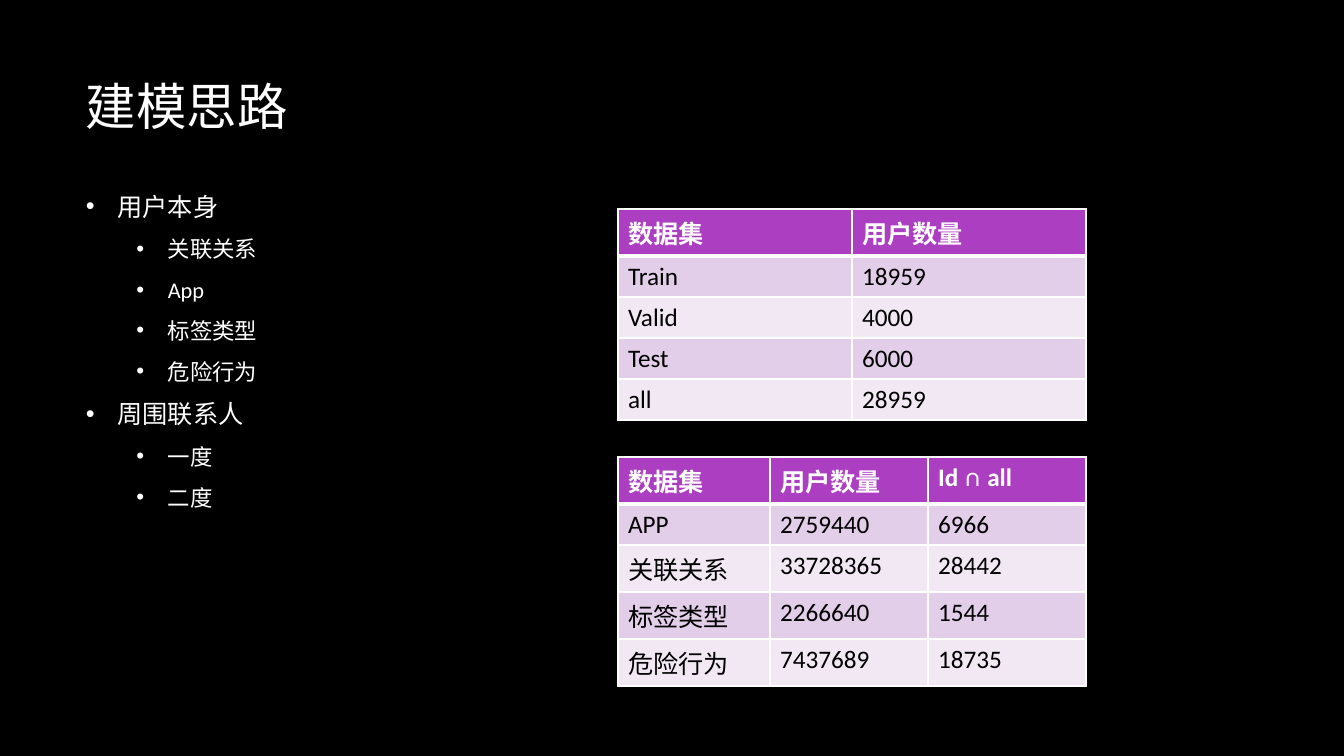
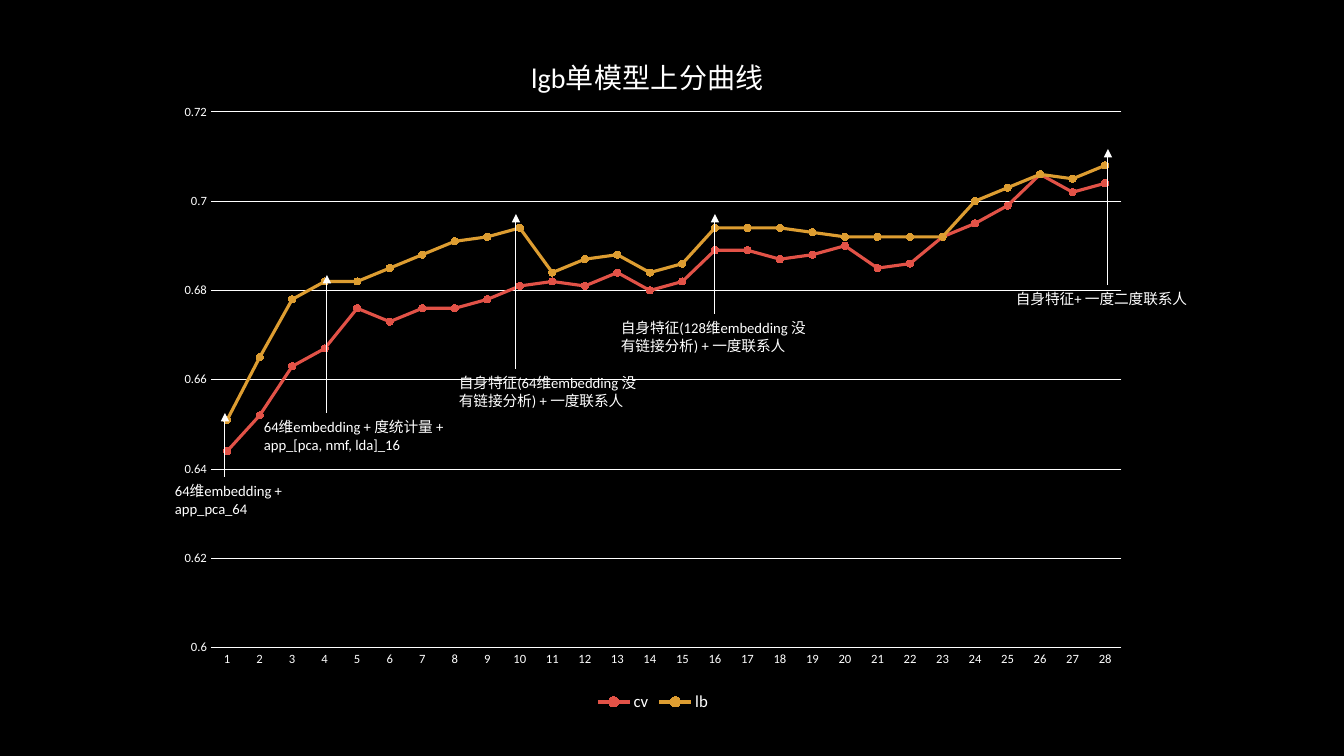
"""Build two dark slides: modelling ideas with tables, and a score curve."""
from lxml.etree import SubElement
from pptx import Presentation
from pptx.chart.data import CategoryChartData as ChartData
from pptx.dml.color import RGBColor
from pptx.enum.chart import XL_CHART_TYPE as Kind, XL_LEGEND_POSITION as Side
from pptx.enum.chart import XL_MARKER_STYLE as Mark, XL_TICK_MARK as Tick
from pptx.enum.shapes import MSO_CONNECTOR as Link
from pptx.enum.text import MSO_ANCHOR as Anchor
from pptx.oxml import parse_xml
from pptx.oxml.ns import nsdecls, qn
from pptx.util import Pt

SCALE = 914400 / 100.8
FONT = "Calibri"
WHITE, BLACK = "FFFFFF", "000000"
HEAD, BANDS = "AC3EC1", ("E3CEE9", "F1E8F4")

IDEAS = [
    (0, "用户本身"), (1, "关联关系"), (1, "App"), (1, "标签类型"),
    (1, "危险行为"), (0, "周围联系人"), (1, "一度"), (1, "二度"),
]
SETS = [
    ("数据集", "用户数量"), ("Train", "18959"), ("Valid", "4000"),
    ("Test", "6000"), ("all", "28959"),
]
SHARED = [
    ("数据集", "用户数量", "Id ∩ all"), ("APP", "2759440", "6966"),
    ("关联关系", "33728365", "28442"), ("标签类型", "2266640", "1544"),
    ("危险行为", "7437689", "18735"),
]
SCORES = {
    "cv": ("E25247", [
        .644, .652, .663, .667, .676, .673, .676, .676, .678, .681,
        .682, .681, .684, .68, .682, .689, .689, .687, .688, .69,
        .685, .686, .692, .695, .699, .706, .702, .704]),
    "lb": ("DD9D31", [
        .651, .665, .678, .682, .682, .685, .688, .691, .692, .694,
        .684, .687, .688, .684, .686, .694, .694, .694, .693, .692,
        .692, .692, .692, .7, .703, .706, .705, .708]),
}
NOTES = [
    ((165, 477, 146, 47), (225, 413), ["64维embedding + app_pca_64"]),
    ((254, 413, 206, 45), (327, 275),
     ["64维embedding + 度统计量 +", "app_[pca, nmf, lda]_16"]),
    ((449, 369, 205, 45), (516, 214),
     ["自身特征(64维embedding 没有链接分析) + 一度联系人"]),
    ((611, 314, 205, 45), (715, 214),
     ["自身特征(128维embedding 没有链接分析) + 一度联系人"]),
    ((1006, 285, 205, 28), (1108, 149), ["自身特征+ 一度二度联系人"]),
]


def px(*sizes):
    """Turn pixels into EMU."""
    return [round(size * SCALE) for size in sizes]


def color(code):
    """Turn a hex string into a colour."""
    return RGBColor.from_string(code)


def style(font, size, code=WHITE, bold=False):
    """Set the look of a font."""
    font.name, font.size, font.bold = FONT, Pt(size), bold
    font.color.rgb = color(code)


def write(para, text, size, code=WHITE, bold=False):
    """Add one styled run to a paragraph."""
    run = para.add_run()
    run.text = text
    style(run.font, size, code, bold)


def stroke(line, code, width):
    """Set the colour and width of a line."""
    line.color.rgb = color(code)
    line.width = Pt(width)


def add_slide(deck):
    """Add a blank slide with a black ground."""
    slide = deck.slides.add_slide(deck.slide_layouts[6])
    fill = slide.background.fill
    fill.solid()
    fill.fore_color.rgb = color(BLACK)
    return slide


def add_text(slide, box, lines, size, anchor=Anchor.TOP):
    """Add a wrapping text box and return its paragraphs."""
    frame = slide.shapes.add_textbox(*px(*box)).text_frame
    frame.word_wrap = True
    frame.vertical_anchor = anchor
    for i, text in enumerate(lines):
        para = frame.add_paragraph() if i else frame.paragraphs[0]
        para.line_spacing = Pt(size * 1.2)
        write(para, text, size)
    return frame.paragraphs


def add_list(slide, box, items):
    """Add a bullet list with two levels."""
    paras = add_text(slide, box, [text for _, text in items], 18)
    for para, (level, _) in zip(paras, items):
        size = 18 - 2 * level
        para.level = level
        para.space_after = Pt(10)
        para.line_spacing = Pt(size * 1.2)
        para.runs[0].font.size = Pt(size)
        props = para._p.get_or_add_pPr()
        left, hang = px(31.5 + 50.4 * level, -31.5)
        props.set("marL", str(left))
        props.set("indent", str(hang))
        SubElement(props, qn("a:buFont"), typeface="Arial")
        SubElement(props, qn("a:buChar"), char="•")


def edge(cell, widths):
    """Draw white cell borders: left, right, top, bottom."""
    props = cell._tc.get_or_add_tcPr()
    for i, (side, width) in enumerate(zip("LRTB", widths)):
        props.insert(i, parse_xml(
            f'<a:ln{side} {nsdecls("a")} w="{Pt(width)}"><a:solidFill>'
            f'<a:srgbClr val="{WHITE}"/></a:solidFill></a:ln{side}>'))


def add_grid(slide, left, top, cols, rows):
    """Add a banded table whose rows with Chinese text are taller."""
    highs = [47 if max("".join(row)) > "\u3000" else 41 for row in rows]
    box = px(left, top, sum(cols), sum(highs))
    table = slide.shapes.add_table(len(rows), len(cols), *box).table
    for col, wide in zip(table.columns, px(*cols)):
        col.width = wide
    for r, (row, high) in enumerate(zip(rows, px(*highs))):
        table.rows[r].height = high
        for c, text in enumerate(row):
            cell = table.cell(r, c)
            cell.fill.solid()
            cell.fill.fore_color.rgb = color(BANDS[(r - 1) % 2] if r else HEAD)
            edge(cell, (1, 1, 3 if r == 1 else 1, 1 if r else 3))
            write(cell.text_frame.paragraphs[0], text, 18,
                  BLACK if r else WHITE, not r)


def add_arrow(slide, start, end):
    """Add a thin white arrow."""
    line = slide.shapes.add_connector(Link.STRAIGHT, *px(*start, *end))
    stroke(line.line, WHITE, 0.75)
    SubElement(line.line._get_or_add_ln(), qn("a:tailEnd"), type="triangle")
    SubElement(line._element.spPr, qn("a:effectLst"))


def place(node, index, **spots):
    """Give a chart part a fixed place, in shares of the chart."""
    for old in node.findall(qn("c:layout")):
        node.remove(old)
    layout = parse_xml(f'<c:layout {nsdecls("c")}><c:manualLayout/></c:layout>')
    for name, value in spots.items():
        SubElement(layout[0], qn("c:" + name), val=str(value))
    node.insert(index, layout)


def add_curve(slide, box, title, scores):
    """Add a line chart with markers, one line for each score."""
    data = ChartData()
    count = max(len(vals) for _, vals in scores.values())
    data.categories = [str(i + 1) for i in range(count)]
    for name, (_, vals) in scores.items():
        data.add_series(name, vals)
    chart = slide.shapes.add_chart(Kind.LINE_MARKERS, *px(*box), data).chart
    style(chart.font, 10)
    chart.has_title = True
    write(chart.chart_title.text_frame.paragraphs[0], title, 20)
    place(chart.chart_title._element, 1,
          xMode="edge", yMode="edge", x=0.37, y=0.04)
    place(chart._chartSpace.chart.plotArea, 0, layoutTarget="inner",
          xMode="edge", yMode="edge", x=0.047, y=0.132, w=0.933, h=0.77)
    chart.has_legend = True
    chart.legend.position = Side.BOTTOM
    chart.legend.include_in_layout = False
    style(chart.legend.font, 12)
    cat, val = chart.category_axis, chart.value_axis
    for axis in (cat, val):
        axis.major_tick_mark = axis.minor_tick_mark = Tick.NONE
        style(axis.tick_labels.font, 9)
    stroke(cat.format.line, WHITE, 0.75)
    val.format.line.fill.background()
    val.minimum_scale, val.maximum_scale, val.major_unit = 0.6, 0.72, 0.02
    val.has_major_gridlines = True
    stroke(val.major_gridlines.format.line, WHITE, 0.75)
    plot = chart.plots[0]
    plot.vary_by_categories = False
    for line, (code, _) in zip(plot.series, scores.values()):
        line.smooth = False
        stroke(line.format.line, code, 2.25)
        mark = line.marker
        mark.style, mark.size = Mark.CIRCLE, 5
        mark.format.fill.solid()
        mark.format.fill.fore_color.rgb = color(code)
        stroke(mark.format.line, code, 0.75)


def main():
    """Build and save the deck."""
    deck = Presentation()
    deck.slide_width, deck.slide_height = px(1344, 756)

    slide = add_slide(deck)
    add_text(slide, (76, 23, 1117, 164), ["建模思路"], 36, Anchor.MIDDLE)
    add_grid(slide, 618, 209, (234, 234), SETS)
    add_grid(slide, 618, 457, (152, 158, 158), SHARED)
    add_list(slide, (76, 186, 520, 452), IDEAS)

    slide = add_slide(deck)
    add_curve(slide, (165, 20, 976, 696), "lgb单模型上分曲线", SCORES)
    for box, tip, lines in NOTES:
        add_text(slide, box, lines, 10.5)
        add_arrow(slide, (tip[0], box[1]), tip)

    deck.save("out.pptx")


main()
